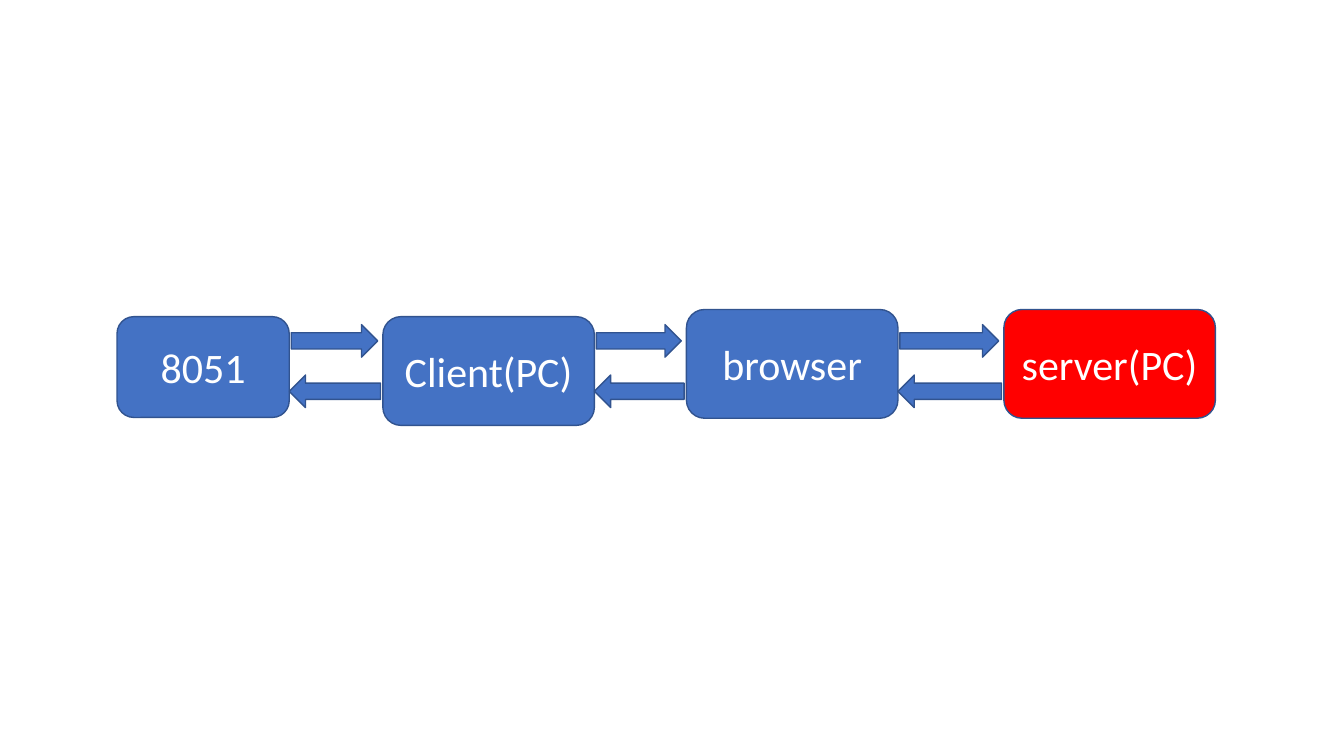
from itertools import pairwise

from pptx import Presentation
from pptx.dml.color import RGBColor
from pptx.enum.shapes import MSO_SHAPE as Preset
from pptx.enum.text import MSO_ANCHOR as Anchor, PP_ALIGN as Align
from pptx.util import Cm, Pt

BLUE = RGBColor(0x44, 0x72, 0xC4)
NAVY = RGBColor(0x31, 0x53, 0x8F)
RED = RGBColor(0xFF, 0x00, 0x00)
WHITE = RGBColor(0xFF, 0xFF, 0xFF)

# label, left, top, width, height (cm), fill
STAGES = [
    ("8051", 2.95, 7.98, 4.34, 2.54, BLUE),
    ("Client(PC)", 9.65, 7.98, 5.33, 2.74, BLUE),
    ("browser", 17.3, 7.8, 5.33, 2.74, BLUE),
    ("server(PC)", 25.3, 7.8, 5.33, 2.74, RED),
]
# top, space before, space after (cm), rotation
FORWARD = (8.18, 0.05, 0.13, 0)
BACKWARD = (9.45, 0, 0.06, 180)
ARROW_HEIGHT = 0.82


def add_block(page, preset, left, top, width, height, fill):
    """Add a filled, outlined shape measured in centimetres."""
    block = page.shapes.add_shape(preset, Cm(left), Cm(top), Cm(width), Cm(height))
    block.shadow.inherit = False
    block.fill.solid()
    block.fill.fore_color.rgb = fill
    block.line.color.rgb = NAVY
    block.line.width = Pt(1)
    return block


def add_stage(page, label, *place_and_fill):
    """Add a rounded box with a centred label."""
    box = add_block(page, Preset.ROUNDED_RECTANGLE, *place_and_fill)
    box.text_frame.word_wrap = True
    box.text_frame.vertical_anchor = Anchor.MIDDLE
    para = box.text_frame.paragraphs[0]
    para.alignment = Align.CENTER
    span = para.add_run()
    span.text = label
    span.font.name = "Calibri"
    span.font.size = Pt(30)
    span.font.color.rgb = WHITE


def add_arrows(page, stage, next_stage):
    """Add the forward and backward arrows in the gap between two stages."""
    start = stage[1] + stage[3]
    gap = next_stage[1] - start
    for top, before, after, rotation in (FORWARD, BACKWARD):
        arrow = add_block(page, Preset.RIGHT_ARROW, start + before, top,
                          gap - before - after, ARROW_HEIGHT, BLUE)
        arrow.rotation = rotation


deck = Presentation()
deck.slide_width, deck.slide_height = Cm(33.87), Cm(19.05)
page = deck.slides.add_slide(deck.slide_layouts[6])
for stage in STAGES:
    add_stage(page, *stage)
for stage, next_stage in pairwise(STAGES):
    add_arrows(page, stage, next_stage)
deck.save("out.pptx")
